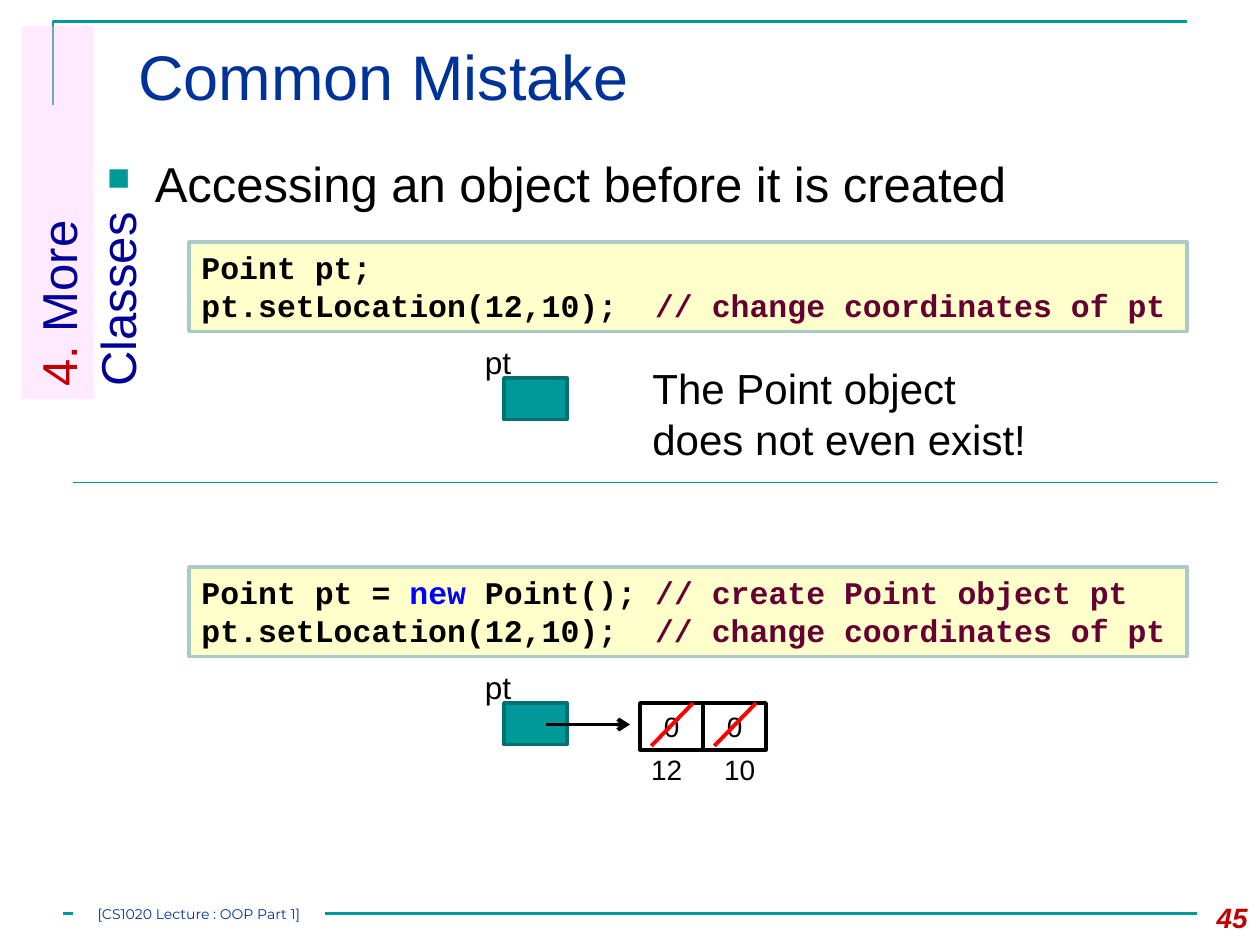
from lxml.etree import SubElement
from pptx import Presentation
from pptx.dml.color import RGBColor
from pptx.enum.shapes import MSO_CONNECTOR, MSO_SHAPE
from pptx.enum.text import MSO_ANCHOR, PP_ALIGN
from pptx.oxml.ns import qn
from pptx.util import Inches, Pt

TEAL = RGBColor(0x00, 0x99, 0x99)
DARK_TEAL = RGBColor(0x00, 0x71, 0x71)
DIVIDER_TEAL = RGBColor(0x00, 0x96, 0x96)
PALE_TEAL = RGBColor(0xAA, 0xCA, 0xCA)
BLUE = RGBColor(0x00, 0x33, 0x99)
NAVY = RGBColor(0x00, 0x00, 0x99)
KEYWORD_BLUE = RGBColor(0x00, 0x00, 0xFF)
DARK_RED = RGBColor(0xC0, 0x00, 0x00)
RED = RGBColor(0xFF, 0x00, 0x00)
PLUM = RGBColor(0x66, 0x00, 0x33)
PINK = RGBColor(0xFF, 0xCC, 0xFF)
CREAM = RGBColor(0xFF, 0xFF, 0xCC)
BLACK = RGBColor(0x00, 0x00, 0x00)
WHITE = RGBColor(0xFF, 0xFF, 0xFF)

TITLE = [[("Common Mistake", BLUE)]]
BULLET = [[("Accessing an object before it is created", BLACK)]]
SECTION = [[("4.", DARK_RED), (" More Classes", NAVY)]]
WARNING = [[("The Point object does not even exist!", BLACK)]]
FOOTER = [[("[CS1020 Lecture : OOP Part 1]", BLUE)]]
PAGE_NUMBER = [[("45", DARK_RED)]]
POINTER_NAME = [[("pt", BLACK)]]
OLD_VALUE = [[("0", BLACK)]]
NEW_VALUES = ["12", "10"]

SET_LOCATION = [
    ("pt.setLocation(12,10);  ", BLACK),
    ("// change coordinates of pt", PLUM),
]
EXAMPLES = [
    (1.92, [[("Point pt;", BLACK)], SET_LOCATION]),
    (4.5, [
        [
            ("Point pt = ", BLACK),
            ("new", KEYWORD_BLUE),
            (" Point(); ", BLACK),
            ("// create Point object pt", PLUM),
        ],
        SET_LOCATION,
    ]),
]

TITLE_FONT = {"name": "Arial", "size": Pt(36)}
BODY_FONT = {"name": "Arial", "size": Pt(28)}
WARNING_FONT = {"name": "Arial", "size": Pt(24)}
LABEL_FONT = {"name": "Arial", "size": Pt(18)}
VALUE_FONT = {"name": "Arial", "size": Pt(16)}
PAGE_FONT = {"name": "Arial", "size": Pt(16), "bold": True, "italic": True}
CODE_FONT = {"name": "Courier New", "size": Pt(18), "bold": True}
FOOTER_FONT = {"name": "Montserrat", "size": Pt(8)}

CELL_LEFT, CELL_TOP, CELL_WIDTH = 5.08, 5.58, 0.5
POINTER_DROP = 1.08


def write_text(shape, lines, font, align=PP_ALIGN.LEFT, anchor=MSO_ANCHOR.TOP):
    frame = shape.text_frame
    frame.word_wrap = True
    frame.vertical_anchor = anchor
    for index, line in enumerate(lines):
        paragraph = frame.add_paragraph() if index else frame.paragraphs[0]
        paragraph.alignment = align
        for text, color in line:
            run = paragraph.add_run()
            run.text = text
            for name, value in font.items():
                setattr(run.font, name, value)
            run.font.color.rgb = color


def add_text(slide, box, lines, font, align=PP_ALIGN.LEFT):
    shape = slide.shapes.add_textbox(*map(Inches, box))
    write_text(shape, lines, font, align)
    return shape


def add_box(slide, box, fill, line=None, width=2):
    shape = slide.shapes.add_shape(MSO_SHAPE.RECTANGLE, *map(Inches, box))
    shape.shadow.inherit = False
    shape.fill.solid()
    shape.fill.fore_color.rgb = fill
    if line is None:
        shape.line.fill.background()
    else:
        shape.line.color.rgb = line
        shape.line.width = Pt(width)
    return shape


def add_line(slide, start, end, color, width):
    points = map(Inches, (*start, *end))
    connector = slide.shapes.add_connector(MSO_CONNECTOR.STRAIGHT, *points)
    connector.line.color.rgb = color
    connector.line.width = Pt(width)
    SubElement(connector.element.spPr, qn("a:effectLst"))
    return connector


def add_frame(slide):
    builder = slide.shapes.build_freeform(Inches(0.42), Inches(0.83))
    corner = [(Inches(0.42), Inches(0.17)), (Inches(9.42), Inches(0.17))]
    builder.add_line_segments(corner, close=False)
    shape = builder.convert_to_shape()
    shape.shadow.inherit = False
    shape.fill.background()
    shape.line.color.rgb = TEAL
    shape.line.width = Pt(1.5)
    add_line(slide, (0.5, 7.25), (9.5, 7.25), TEAL, 1.5)


def add_bullet(slide):
    shape = add_text(slide, (0.75, 1.17, 8.75, 0.67), BULLET, BODY_FONT)
    properties = shape.text_frame.paragraphs[0]._p.get_or_add_pPr()
    properties.set("marL", str(Inches(0.38)))
    properties.set("indent", str(-Inches(0.38)))
    color = SubElement(properties, qn("a:buClr"))
    SubElement(color, qn("a:srgbClr"), val=str(TEAL))
    SubElement(properties, qn("a:buSzPct"), val="65000")
    SubElement(properties, qn("a:buChar"), char="■")


def add_section_tab(slide):
    shape = add_box(slide, (-1.02, 1.4, 2.96, 0.57), PINK)
    shape.rotation = 270
    color = shape.fill._xPr.find(qn("a:solidFill"))[0]
    SubElement(color, qn("a:alpha"), val="40000")
    write_text(shape, SECTION, BODY_FONT)


def add_example(slide, top, code):
    shape = add_box(slide, (1.5, top, 7.92, 0.71), CREAM, PALE_TEAL)
    write_text(shape, code, CODE_FONT)
    add_box(slide, (4, top + POINTER_DROP, 0.5, 0.33), TEAL, DARK_TEAL)
    add_text(slide, (3.75, top + 0.75, 0.58, 0.4), POINTER_NAME, LABEL_FONT)


def add_point_object(slide):
    lefts = [CELL_LEFT + index * CELL_WIDTH for index in range(len(NEW_VALUES))]
    for left in lefts:
        cell = add_box(slide, (left, CELL_TOP, CELL_WIDTH, 0.37), WHITE, BLACK, 2.25)
        write_text(cell, OLD_VALUE, VALUE_FONT, PP_ALIGN.CENTER)
    arrow = add_line(slide, (4.33, 5.75), (5, 5.75), BLACK, 2.25)
    SubElement(arrow.line._get_or_add_ln(), qn("a:tailEnd"), type="arrow")
    for index, (left, value) in enumerate(zip(lefts, NEW_VALUES)):
        add_line(slide, (left + 0.42, CELL_TOP), (left + 0.09, 5.92), RED, 2.25)
        box = (5 + index * 0.58, 5.92, 0.58, 0.37)
        add_text(slide, box, [[(value, BLACK)]], VALUE_FONT, PP_ALIGN.CENTER)


def add_footer(slide):
    shape = add_box(slide, (0.58, 7.17, 2, 0.17), WHITE)
    write_text(shape, FOOTER, FOOTER_FONT, PP_ALIGN.CENTER, MSO_ANCHOR.MIDDLE)
    for side in ("left", "top", "right", "bottom"):
        setattr(shape.text_frame, f"margin_{side}", 0)


def main():
    presentation = Presentation()
    presentation.slide_width = Inches(10)
    presentation.slide_height = Inches(7.5)
    slide = presentation.slides.add_slide(presentation.slide_layouts[6])
    add_frame(slide)
    add_text(slide, (1, 0.25, 8.5, 0.86), TITLE, TITLE_FONT)
    add_text(slide, (9.33, 7.1, 0.67, 0.4), PAGE_NUMBER, PAGE_FONT, PP_ALIGN.RIGHT)
    add_bullet(slide)
    add_section_tab(slide)
    for top, code in EXAMPLES:
        add_example(slide, top, code)
    add_text(slide, (5.08, 2.83, 3.17, 0.91), WARNING, WARNING_FONT)
    add_point_object(slide)
    add_line(slide, (0.58, 3.83), (9.67, 3.83), DIVIDER_TEAL, 0.75)
    add_footer(slide)
    presentation.save("out.pptx")


if __name__ == "__main__":
    main()
